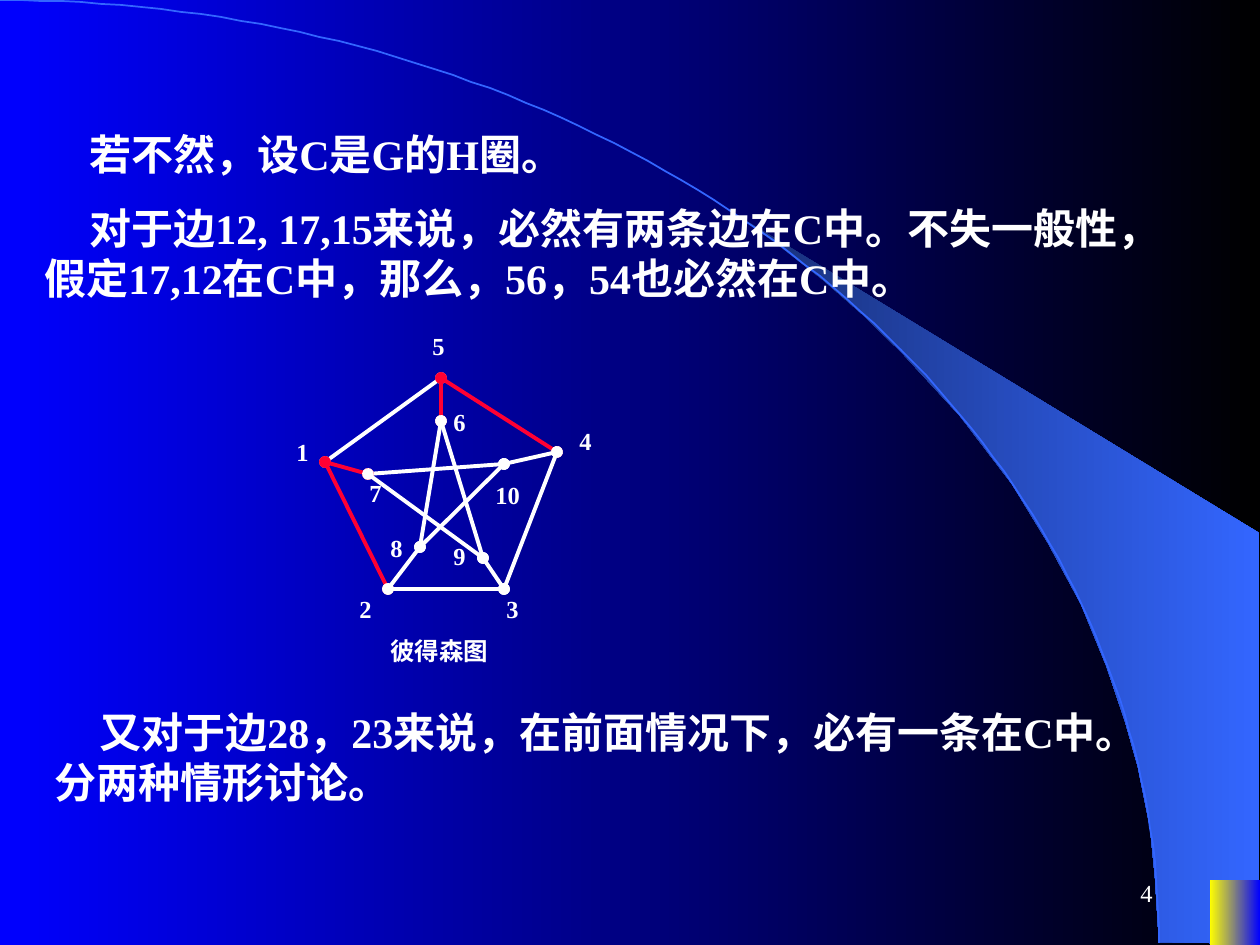
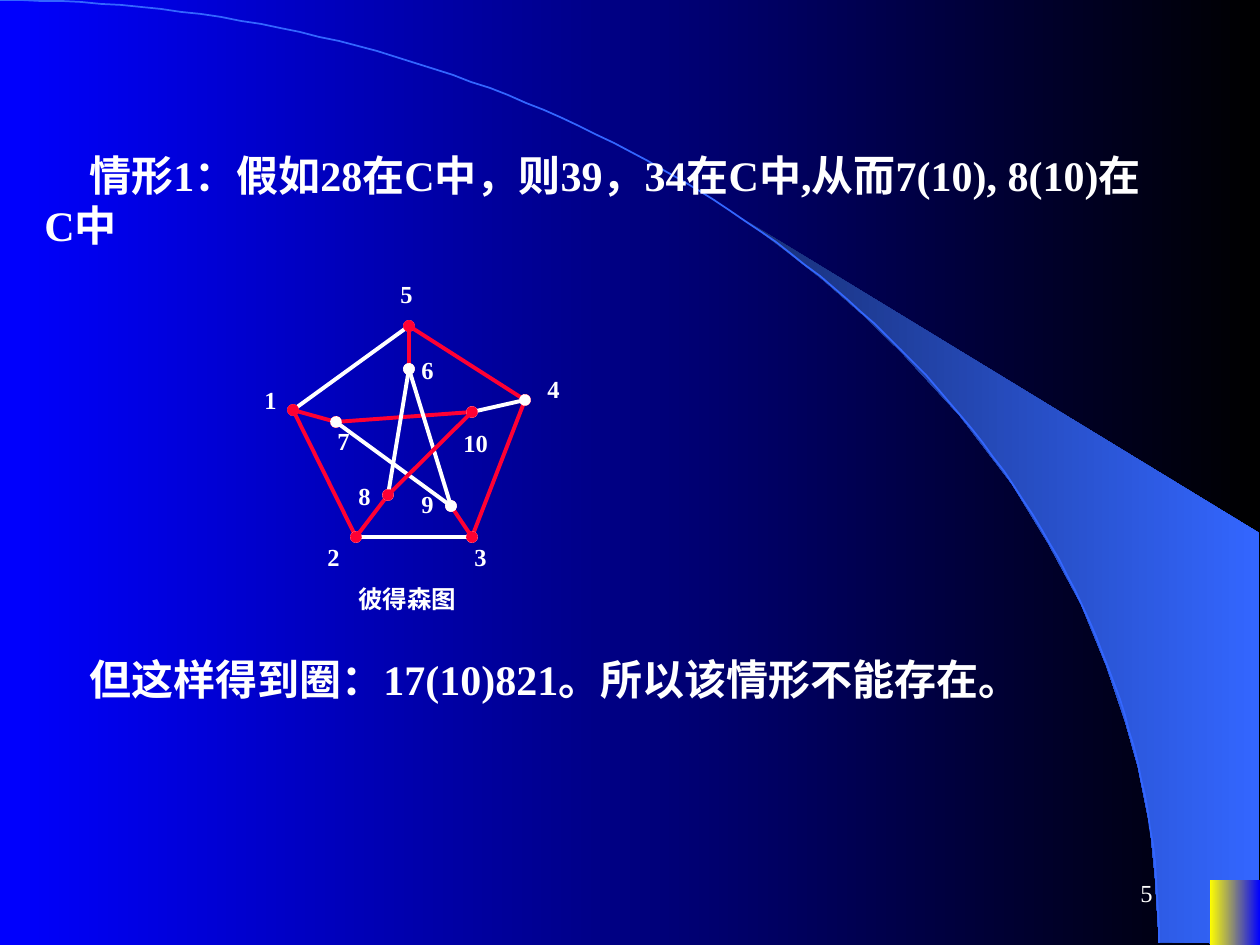
from math import cos, pi, sin

from pptx import Presentation
from pptx.dml.color import RGBColor as Rgb
from pptx.enum.shapes import MSO_CONNECTOR as Link, MSO_SHAPE as Kind
from pptx.enum.text import MSO_ANCHOR as Anchor, PP_ALIGN as Align
from pptx.oxml.ns import qn
from pptx.util import Pt
from lxml.etree import SubElement as Sub

SCALE = 914400 / 126
WIDE, HIGH = 1260, 945
FONT = "Times New Roman"

WHITE = Rgb(0xFF, 0xFF, 0xFF)
BLACK = Rgb(0x00, 0x00, 0x00)
BLUE = Rgb(0x00, 0x00, 0xFF)
SKY = Rgb(0x33, 0x66, 0xFF)
NAVY = Rgb(0x18, 0x2F, 0x76)
GOLD = Rgb(0xFF, 0xFF, 0x00)
RED = Rgb(0xFF, 0x00, 0x33)

WEDGE = [
    (1159, 942), (1259, 944), (1259, 533), (742, 218), (786, 251), (823, 280),
    (863, 315), (902, 353), (960, 416), (1012, 484), (1048, 543), (1081, 604),
    (1106, 665), (1125, 721), (1138, 767), (1150, 827), (1155, 877),
]
ARC_WIDE, ARC_HIGH, STEPS = 1159, 943, 90

NODES = {
    1: (41, 137), 2: (104, 264), 3: (220, 264), 4: (273, 127), 5: (157, 53),
    6: (157, 96), 7: (84, 149), 8: (136, 222), 9: (199, 233), 10: (220, 139),
}
LABELS = {
    1: (0, 106), 2: (63, 263), 3: (210, 263), 4: (283, 95), 5: (136, 0),
    6: (157, 76), 7: (73, 147), 8: (94, 202), 9: (157, 210), 10: (199, 149),
}
EDGES = [
    (7, 10), (5, 1), (5, 4), (1, 2), (4, 3), (2, 3), (5, 6), (1, 7),
    (10, 4), (9, 3), (8, 2), (6, 8), (6, 9), (7, 9), (10, 8),
]
FORCED = {(5, 4), (1, 2), (5, 6), (1, 7)}
CASE = FORCED | {(7, 10), (4, 3), (9, 3), (8, 2), (10, 8)}


def px(num):
    return round(num * SCALE)


def blend(fill, first, last):
    fill.gradient()
    fill.gradient_angle = 0
    for stop, place, color in zip(fill.gradient_stops, (0, 1), (first, last)):
        stop.position = place
        stop.color.rgb = color


def draw_path(slide, dots, close):
    pen = slide.shapes.build_freeform(*dots[0], scale=SCALE)
    pen.add_line_segments(dots[1:], close=close)
    shape = pen.convert_to_shape()
    shape.shadow.inherit = False
    return shape


def add_text(shapes, text, left, top, wide, high, size=14, bold=True):
    box = shapes.add_textbox(px(left), px(top), px(wide), px(high))
    frame = box.text_frame
    frame.word_wrap = True
    frame.text = text
    font = frame.paragraphs[0].runs[0].font
    font.name = FONT
    font.size = Pt(size)
    font.bold = bold
    font.color.rgb = WHITE
    return frame


def add_body(slide, text, left, top, wide, high):
    frame = add_text(slide.shapes, text, left, top, wide, high, 24)
    frame.margin_top = px(13)
    props = frame.paragraphs[0]._p.get_or_add_pPr()
    props.set("indent", str(px(45)))


def add_edge(group, start, end, color):
    line = group.shapes.add_connector(Link.STRAIGHT, *map(px, start + end))
    line.line.color.rgb = color
    line.line.width = Pt(2.25)
    stroke = line.line._get_or_add_ln()
    for tip in ("a:headEnd", "a:tailEnd"):
        Sub(stroke, qn(tip), type="oval")
    Sub(line._element.spPr, qn("a:effectLst"))


def add_graph(slide, left, top, marked):
    group = slide.shapes.add_group_shape()

    def move(spot):
        return left + spot[0], top + spot[1]

    for edge in EDGES:
        start, end = (move(NODES[node]) for node in edge)
        add_edge(group, start, end, RED if edge in marked else WHITE)
    for node, spot in LABELS.items():
        add_text(group.shapes, str(node), *move(spot), 63 if node > 9 else 44, 43)
    add_text(group.shapes, "彼得森图", *move((94, 305)), 158, 43)


def add_base(deck, number):
    slide = deck.slides.add_slide(deck.slide_layouts[6])
    blend(slide.background.fill, BLUE, BLACK)

    wedge = draw_path(slide, WEDGE, True)
    blend(wedge.fill, NAVY, SKY)
    wedge.line.fill.background()

    turns = [pi / 2 * step / STEPS for step in range(STEPS + 1)]
    curve = [(ARC_WIDE * sin(turn), ARC_HIGH * (1 - cos(turn))) for turn in turns]
    arc = draw_path(slide, curve, False)
    arc.fill.background()
    arc.line.color.rgb = SKY
    arc.line.width = Pt(1)

    block = slide.shapes.add_shape(Kind.RECTANGLE, px(1210), px(880), px(50), px(65))
    block.shadow.inherit = False
    blend(block.fill, GOLD, BLUE)
    block.line.fill.background()

    frame = add_text(slide.shapes, str(number), 903, 861, 262, 63, bold=False)
    frame.vertical_anchor = Anchor.MIDDLE
    frame.paragraphs[0].alignment = Align.RIGHT
    return slide


def main():
    deck = Presentation()
    deck.slide_width, deck.slide_height = px(WIDE), px(HIGH)

    slide = add_base(deck, 4)
    add_body(slide, "若不然，设C是G的H圈。", 32, 116, 1061, 72)
    add_body(slide, "对于边12, 17,15来说，必然有两条边在C中。不失一般性，"
             "假定17,12在C中，那么，56，54也必然在C中。", 32, 189, 1124, 122)
    add_graph(slide, 284, 325, FORCED)
    add_body(slide, "又对于边28，23来说，在前面情况下，必有一条在C中。"
             "分两种情形讨论。", 42, 693, 1113, 122)

    slide = add_base(deck, 5)
    add_body(slide, "情形1：假如28在C中，则39，34在C中,从而7(10), 8(10)在C中",
             32, 136, 1124, 122)
    add_graph(slide, 252, 273, CASE)
    add_body(slide, "但这样得到圈：17(10)821。所以该情形不能存在。",
             32, 640, 1113, 72)

    deck.save("out.pptx")


if __name__ == "__main__":
    main()
